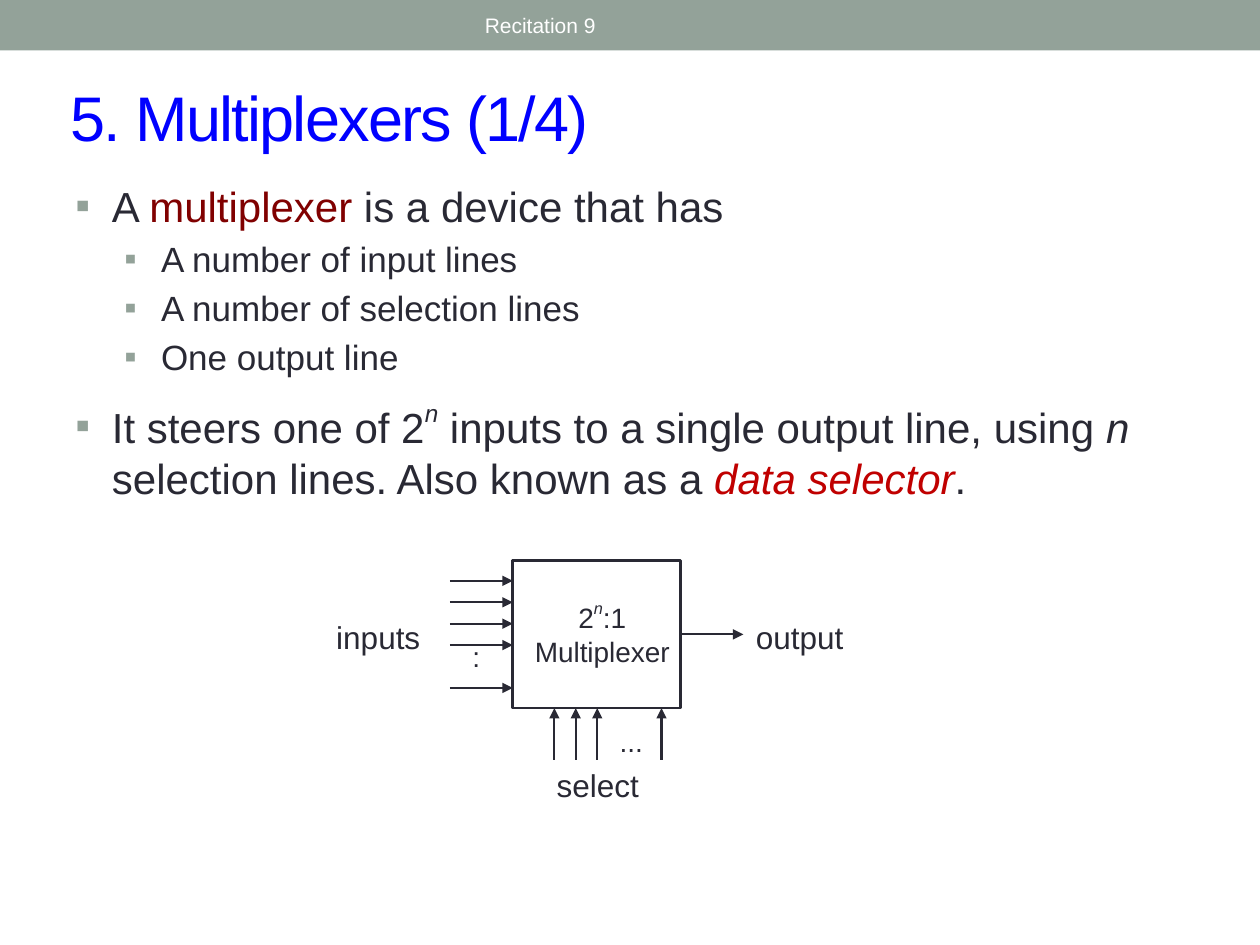
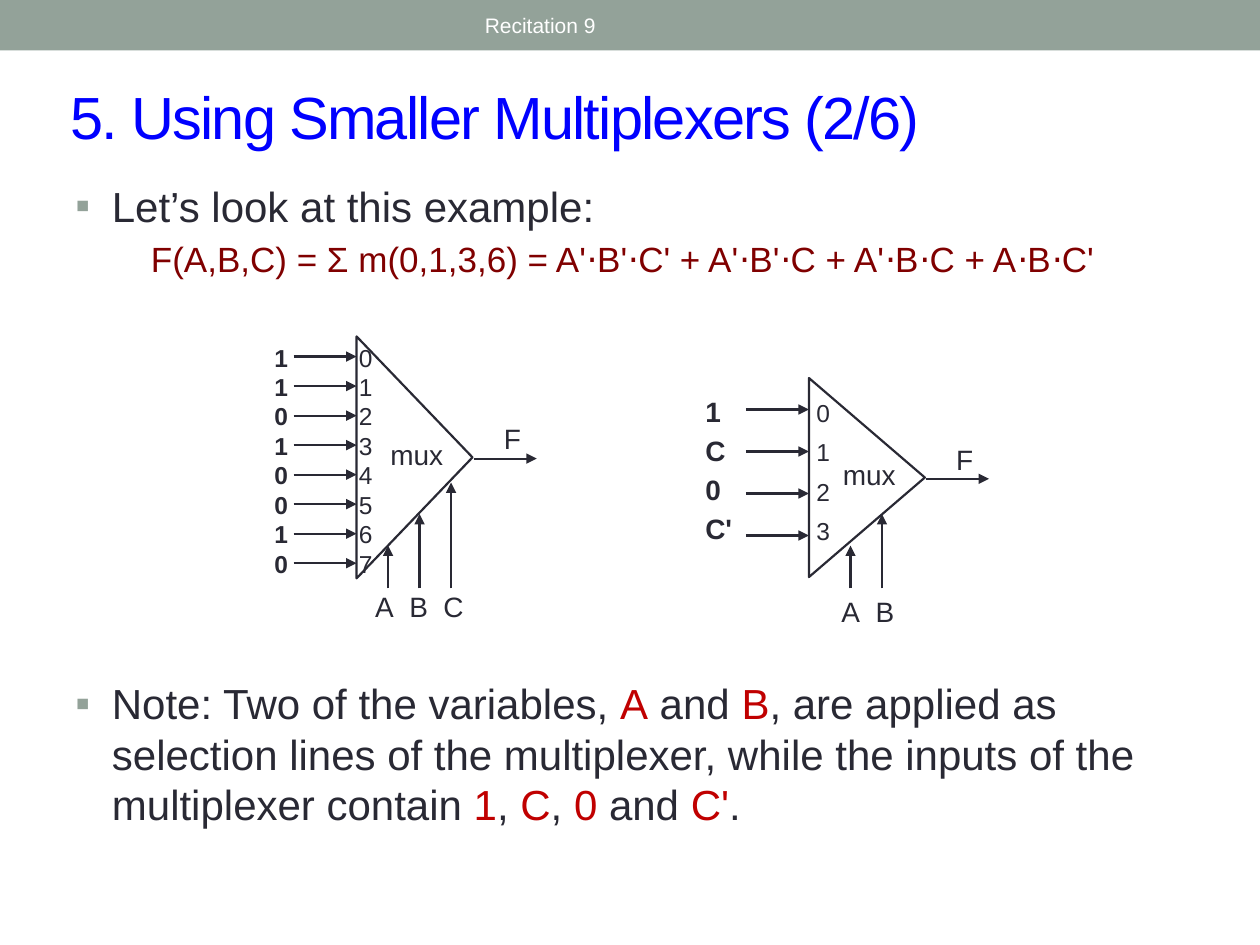
from lxml.etree import SubElement
from pptx import Presentation
from pptx.dml.color import RGBColor
from pptx.enum.shapes import MSO_CONNECTOR, MSO_SHAPE
from pptx.enum.text import MSO_ANCHOR, MSO_AUTO_SIZE, PP_ALIGN
from pptx.oxml.ns import qn
from pptx.util import Inches, Pt

# Shared look
INK, SAGE, BLUE, WHITE = "292934", "93A299", "0000FF", "FFFFFF"
MAROON, RED = {"color": "800000"}, {"color": "C00000"}
ITAL, SUP = {"italic": True}, {"italic": True, "sup": True}
FONT = "Arial"
FOOTER = "Recitation 9"

# Paragraph levels: text size, left margin, hanging indent, bullet
LEVELS = {
    "main": (24, 0.29, -0.29, "▪"),
    "sub": (20, 0.68, -0.29, "▪"),
    "math": (20, 0.6, 0, None),
}

# Slide 1 content: level, space before, runs
DEFINE = [
    ("main", 0, ["A ", ("multiplexer", MAROON), " is a device that has"]),
    ("sub", 4, ["A number of input lines"]),
    ("sub", 4, ["A number of selection lines"]),
    ("sub", 4, ["One output line"]),
    ("main", 12, ["It steers one of 2", ("n", SUP),
                  " inputs to a single output line, using ", ("n", ITAL),
                  " selection lines. Also known as a ",
                  ("data selector", {**RED, **ITAL}), "."]),
]
BLOCK = (4.07, 4.45, 1.33, 1.17)
BLOCK_TEXT = [["2", ("n", SUP), ":1"], ["Multiplexer"]]
PIN_STEP = 0.17
IN_SLOTS = (0, 1, 2, 3, 5)
SEL_SLOTS = (0, 1, 2, 5)
LABELS = [
    ("output", (5.9, 4.86, 0.92, 0.4), 18),
    ("inputs", (2.57, 4.86, 0.92, 0.4), 18),
    ("select", (4.32, 6.03, 1, 0.4), 18),
    (":", (3.65, 5.03, 0.25, 0.37), 16),
    ("...", (4.82, 5.7, 0.42, 0.37), 16),
]

# Slide 2 content
EXAMPLE = [
    ("main", 0, ["Let’s look at this example:"]),
    ("math", 4, [("F(A,B,C) = Σ m(0,1,3,6) = "
                  "A'⋅B'⋅C' + A'⋅B'⋅C + A'⋅B⋅C + A⋅B⋅C'", MAROON)]),
]
NOTE = [
    ("main", 0, ["Note: Two of the variables, ", ("A", RED), " and ",
                 ("B", RED), ", are applied as selection lines of the "
                 "multiplexer, while the inputs of the multiplexer contain ",
                 ("1", RED), ", ", ("C", RED), ", ", ("0", RED), " and ",
                 ("C'", RED), "."]),
]
# edge: left side of the triangle; pins: first and last input height;
# ins and keys: offset from edge, top, width, height, text size, gap
MUXES = [
    {"edge": 2.83, "mid": 3.63, "span": 1.92, "pins": (2.83, 4.47),
     "data": "11010010", "ins": (-0.75, 2.67, 0.42, 1.99, 14, 0),
     "keys": (-0.08, 2.67, 0.42, 1.96, 14, 0),
     "sel": "ABC", "first": 0.25, "names": (0.05, 4.63, 1)},
    {"edge": 6.42, "mid": 3.79, "span": 1.58, "pins": (3.25, 4.25),
     "data": ["1", "C", "0", "C'"], "ins": (-0.92, 3.08, 0.5, 1.33, 16, 3.2),
     "keys": (-0.04, 3.11, 0.42, 1.31, 14, 5.6),
     "sel": "AB", "first": 0.33, "names": (0.16, 4.67, 0.75)},
]
DEPTH, PIN, TAB = 0.92, 0.5, 0.27


def rgb(code):
    return RGBColor.from_string(code)


def inch(*vals):
    return [Inches(v) for v in vals]


def write(para, runs, size, **base):
    """Add runs; each is plain text or a (text, format) pair."""
    for item in runs:
        text, extra = (item, {}) if isinstance(item, str) else item
        look = {"name": FONT, "size": Pt(size), "color": INK, **base, **extra}
        run = para.add_run()
        run.text = text
        if look.pop("sup", False):
            run.font._element.set("baseline", "50000")
        run.font.color.rgb = rgb(look.pop("color"))
        for key, val in look.items():
            setattr(run.font, key, val)


def frame(slide, box):
    area = slide.shapes.add_textbox(*inch(*box)).text_frame
    area.word_wrap = True
    return area


def paras(area, count):
    """Yield the first paragraph, then new ones."""
    yield area.paragraphs[0]
    for _ in range(count - 1):
        yield area.add_paragraph()


def label(slide, box, lines, size, gap=0, align=PP_ALIGN.LEFT, **base):
    area = frame(slide, box)
    for i, (para, runs) in enumerate(zip(paras(area, len(lines)), lines)):
        para.alignment = align
        para.space_before = Pt(gap if i else 0)
        write(para, runs, size, **base)
    return area


def body(slide, box, items):
    area = frame(slide, box)
    for para, (level, gap, runs) in zip(paras(area, len(items)), items):
        size, left, hang, mark = LEVELS[level]
        para.space_before = Pt(gap)
        props = para._p.get_or_add_pPr()
        props.set("marL", str(Inches(left)))
        props.set("indent", str(Inches(hang)))
        if mark:
            tint = SubElement(props, qn("a:buClr"))
            SubElement(tint, qn("a:srgbClr"), val=SAGE)
            SubElement(props, qn("a:buFont"), typeface=FONT)
            SubElement(props, qn("a:buChar"), char=mark)
        write(para, runs, size)


def outline(slide, kind, box, width):
    shape = slide.shapes.add_shape(kind, *inch(*box))
    shape.shadow.inherit = False
    shape.fill.background()
    shape.line.color.rgb = rgb(INK)
    shape.line.width = Pt(width)
    return shape


def arrow(slide, x1, y1, x2, y2):
    wire = slide.shapes.add_connector(MSO_CONNECTOR.STRAIGHT,
                                      *inch(x1, y1, x2, y2))
    wire.line.color.rgb = rgb(INK)
    wire.line.width = Pt(1.25)
    SubElement(wire.line._get_or_add_ln(), qn("a:tailEnd"), type="triangle")
    SubElement(wire._element.spPr, qn("a:effectLst"))
    return wire


def start(deck, title, size):
    """New slide with band, footer text and title."""
    slide = deck.slides.add_slide(deck.slide_layouts[5])
    band = slide.shapes.add_shape(MSO_SHAPE.RECTANGLE, *inch(0, 0, 10, 0.4))
    band.shadow.inherit = False
    band.fill.solid()
    band.fill.fore_color.rgb = rgb(SAGE)
    band.line.fill.background()
    foot = label(slide, (3.75, 0.02, 4.5, 0.36), [[FOOTER]], 12, color=WHITE)
    foot.vertical_anchor = MSO_ANCHOR.MIDDLE

    head = slide.shapes.title
    head.left, head.top, head.width, head.height = inch(0.46, 0.57, 9.21, 0.7)
    area = head.text_frame
    area.auto_size = MSO_AUTO_SIZE.NONE
    area.vertical_anchor = MSO_ANCHOR.MIDDLE
    para = area.paragraphs[0]
    para.alignment = PP_ALIGN.LEFT
    write(para, [title], size, color=BLUE)
    para.runs[0].font._element.set("spc", "-100")
    return slide


def block(slide):
    """Box with input, selection and output lines."""
    left, top, width, height = BLOCK
    base = top + height
    box = outline(slide, MSO_SHAPE.RECTANGLE, BLOCK, 1.5)
    label(slide, (left, 4.7, 1.42, 0.64), BLOCK_TEXT, 16,
          align=PP_ALIGN.CENTER)
    for slot in IN_SLOTS:
        y = 4.61 + slot * PIN_STEP
        arrow(slide, left - PIN, y, left, y)
    for slot in SEL_SLOTS:
        x = 4.4 + slot * PIN_STEP
        arrow(slide, x, base + 0.41, x, base)
    mid = top + height / 2
    out = arrow(slide, left + width, mid, left + width + PIN, mid)
    out.begin_connect(box, 3)
    for text, place, size in LABELS:
        label(slide, place, [[text]], size)


def mux(slide, spec):
    """Triangle with numbered inputs, selectors and output F."""
    edge, mid, span = spec["edge"], spec["mid"], spec["span"]
    box = (edge + DEPTH / 2 - span / 2, mid - DEPTH / 2, span, DEPTH)
    outline(slide, MSO_SHAPE.ISOSCELES_TRIANGLE, box, 1.25).rotation = 90
    label(slide, (edge + 0.17, mid - 0.21, 0.75, 0.37), [["mux"]], 16)

    # Inputs and their numbers
    data = spec["data"]
    first, last = spec["pins"]
    for i in range(len(data)):
        y = first + i * (last - first) / (len(data) - 1)
        arrow(slide, edge - PIN, y, edge, y)
    keys = [str(i) for i in range(len(data))]
    for part, lines, bold in (("ins", data, True), ("keys", keys, False)):
        shift, top, width, height, size, gap = spec[part]
        label(slide, (edge + shift, top, width, height),
              [[line] for line in lines], size, gap, bold=bold)

    # Selectors, named through tab stops
    for i in range(len(spec["sel"])):
        x = edge + spec["first"] + i * 0.25
        arrow(slide, x, 4.67, x, 4.33 - i * 0.25)
    shift, top, width = spec["names"]
    area = label(slide, (edge + shift, top, width, 0.37),
                 [["\t".join(spec["sel"])]], 16)
    tabs = SubElement(area.paragraphs[0]._p.get_or_add_pPr(), qn("a:tabLst"))
    for i in range(1, len(spec["sel"])):
        SubElement(tabs, qn("a:tab"), pos=str(Inches(i * TAB)), algn="l")

    # Output
    tip = edge + DEPTH + 0.01
    arrow(slide, tip, mid + 0.01, tip + PIN, mid + 0.01)
    label(slide, (edge + 1.07, mid - 0.33, 0.34, 0.37), [["F"]], 16)


def main():
    deck = Presentation()
    deck.slide_width, deck.slide_height = inch(10, 7.5)

    slide = start(deck, "5. Multiplexers (1/4)", 36)
    body(slide, (0.5, 1.38, 9, 2.75), DEFINE)
    block(slide)

    slide = start(deck, "5. Using Smaller Multiplexers (2/6)", 34)
    body(slide, (0.5, 1.38, 9, 1.12), EXAMPLE)
    for spec in MUXES:
        mux(slide, spec)
    body(slide, (0.5, 5.33, 9, 1.42), NOTE)

    deck.save("out.pptx")


if __name__ == "__main__":
    main()
